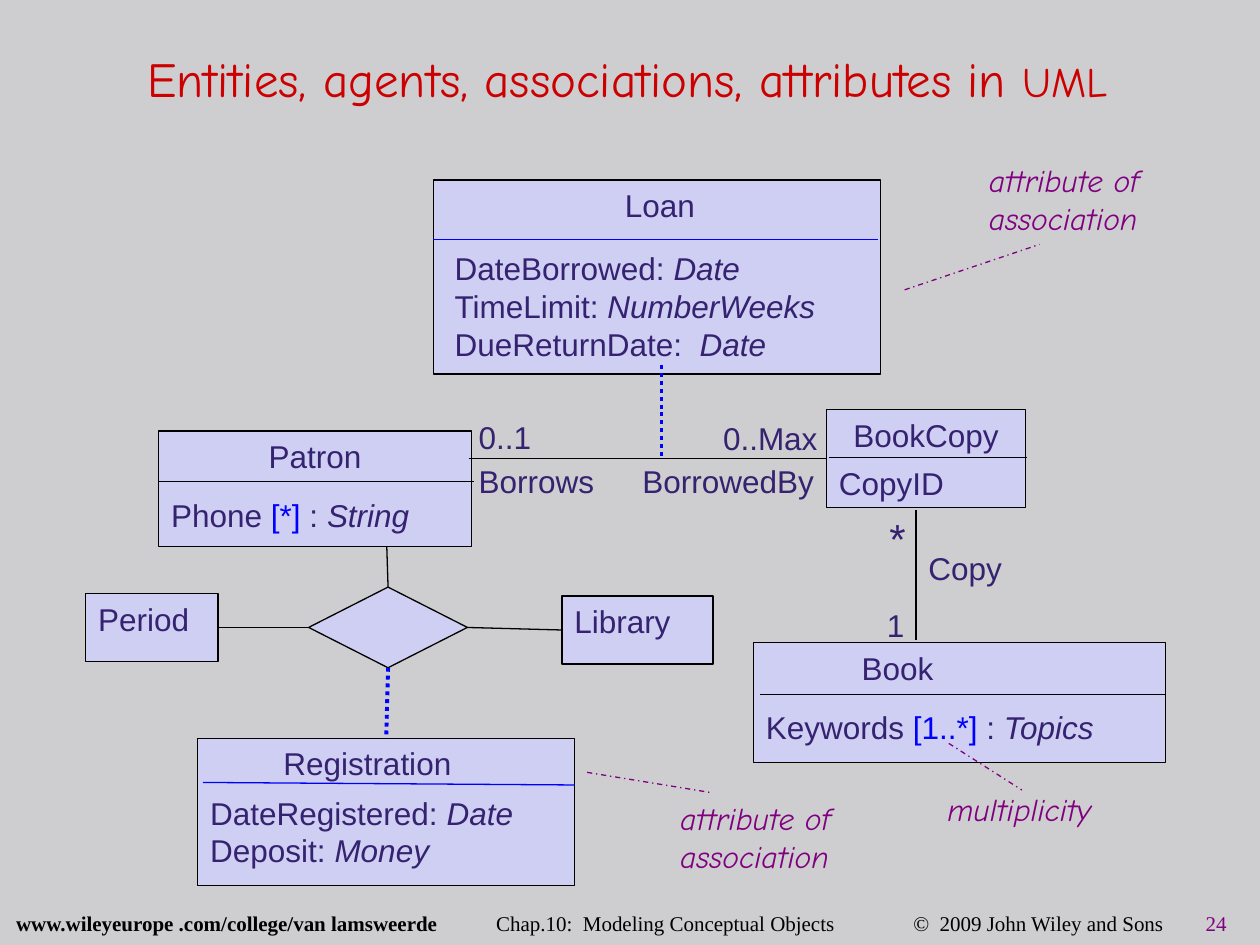
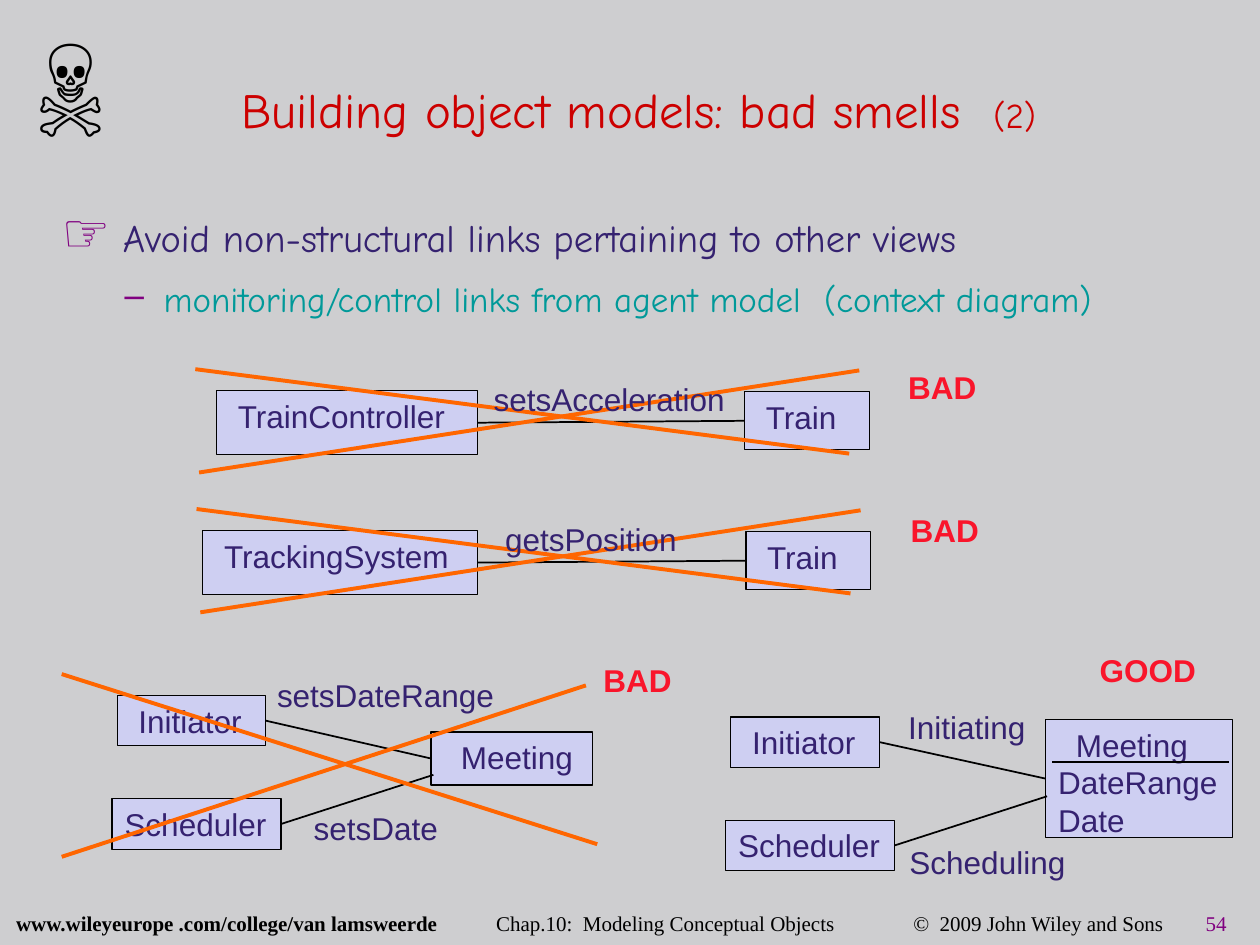
from dataclasses import dataclass
from typing import NamedTuple, Optional, Sequence, Union

from lxml.etree import SubElement
from pptx import Presentation
from pptx.dml.color import RGBColor
from pptx.enum.dml import MSO_LINE
from pptx.enum.shapes import MSO_CONNECTOR, MSO_SHAPE
from pptx.enum.text import MSO_ANCHOR, PP_ALIGN
from pptx.oxml.ns import qn
from pptx.util import Inches, Pt

BACKGROUND, BOX_FILL = "CECED0", "CECFF2"
BLACK, RED, PURPLE, INK = "000000", "CC0000", "800080", "352270"
BLUE, TEAL, ORANGE, VERDICT = "0000FF", "009999", "FF6600", "F9152B"
SANS, HAND, SERIF = "Arial", "Comic Neue", "Times New Roman"
TOP, LEFT, BOTTOM, RIGHT = range(4)


class Area(NamedTuple):
    left: float
    top: float
    width: float
    height: float


class Point(NamedTuple):
    x: float
    y: float


class Joint(NamedTuple):
    shape: object
    side: int


End = Union[Point, Joint]


@dataclass(frozen=True)
class Run:
    text: str
    size: Optional[float] = None
    font: Optional[str] = None
    color: Optional[str] = None
    bold: Optional[bool] = None
    italic: Optional[bool] = None


@dataclass(frozen=True)
class Line:
    runs: Sequence[Run]
    align: Optional[PP_ALIGN] = None
    before: float = 0
    margin: float = 0
    hanging: float = 0
    bullet: str = ""
    tabs: Sequence[float] = ()


@dataclass(frozen=True)
class Label:
    text: str
    area: Area
    size: float = 18
    font: str = SANS
    color: str = INK
    bold: bool = False
    italic: bool = False
    margin: float = 0


@dataclass(frozen=True)
class Stroke:
    color: str = BLACK
    width: float = 0.75
    dash: Optional[MSO_LINE] = None


THIN, LINK = Stroke(), Stroke(width=1)
DIVIDER = Stroke(BLUE)
DOTTED = Stroke(BLUE, 2.25, MSO_LINE.ROUND_DOT)
POINTER = Stroke(PURPLE, 0.75, MSO_LINE.DASH_DOT)
CROSS = Stroke(ORANGE, 2.25)


def rgb(color: str) -> RGBColor:
    return RGBColor.from_string(color)


def plain(text: str, **options) -> Line:
    return Line([Run(text)], **options)


def attribute(name: str, kind: str, multiplicity: str = "", before: float = 0) -> Line:
    middle = [Run(multiplicity, color=BLUE), Run(" : ")] if multiplicity else []
    return Line([Run(name), *middle, Run(kind, italic=True)], before=before)


def write_text(shape, lines: Sequence[Line], *, size: float = 18, font: str = SANS,
               color: str = INK, bold: bool = False, italic: bool = False,
               spacing: Optional[float] = None, anchor=MSO_ANCHOR.TOP) -> None:
    frame = shape.text_frame
    frame.word_wrap = True
    frame.vertical_anchor = anchor
    for index, line in enumerate(lines):
        paragraph = frame.paragraphs[0] if index == 0 else frame.add_paragraph()
        properties = paragraph._p.get_or_add_pPr()
        if line.margin or line.hanging:
            properties.set("marL", str(Inches(line.margin)))
            properties.set("indent", str(-Inches(line.hanging)))
        if line.bullet:
            bullet_color = SubElement(properties, qn("a:buClr"))
            SubElement(bullet_color, qn("a:srgbClr"), val=PURPLE)
            SubElement(properties, qn("a:buChar"), char=line.bullet)
        if line.tabs:
            tab_list = SubElement(properties, qn("a:tabLst"))
            for position in line.tabs:
                SubElement(tab_list, qn("a:tab"), pos=str(Inches(position)), algn="l")
        paragraph.alignment = line.align or PP_ALIGN.LEFT
        if line.before:
            paragraph.space_before = Pt(line.before)
        if spacing:
            paragraph.line_spacing = spacing
        for part in line.runs:
            run = paragraph.add_run()
            run.text = part.text
            run.font.size = Pt(part.size or size)
            run.font.name = part.font or font
            run.font.color.rgb = rgb(part.color or color)
            run.font.bold = bold if part.bold is None else part.bold
            run.font.italic = italic if part.italic is None else part.italic


def add_text(slide, area: Area, lines: Sequence[Line], **options):
    box = slide.shapes.add_textbox(*map(Inches, area))
    write_text(box, lines, **options)
    return box


def add_label(slide, label: Label) -> None:
    add_text(slide, label.area, [plain(label.text, margin=label.margin)], size=label.size,
             font=label.font, color=label.color, bold=label.bold, italic=label.italic)


def add_box(slide, area: Area, *lines: Line, kind=MSO_SHAPE.RECTANGLE):
    box = slide.shapes.add_shape(kind, *map(Inches, area))
    box.shadow.inherit = False
    box.fill.solid()
    box.fill.fore_color.rgb = rgb(BOX_FILL)
    box.line.color.rgb = rgb(BLACK)
    box.line.width = Pt(0.75)
    write_text(box, lines)
    return box


def add_line(slide, begin: End, end: End, stroke: Stroke = THIN) -> None:
    places = [(0, 0) if isinstance(place, Joint) else map(Inches, place)
              for place in (begin, end)]
    connector = slide.shapes.add_connector(MSO_CONNECTOR.STRAIGHT, *places[0], *places[1])
    if isinstance(begin, Joint):
        connector.begin_connect(*begin)
    if isinstance(end, Joint):
        connector.end_connect(*end)
    connector.line.color.rgb = rgb(stroke.color)
    connector.line.width = Pt(stroke.width)
    if stroke.dash:
        connector.line.dash_style = stroke.dash
    SubElement(connector._element.spPr, qn("a:effectLst"))


def add_slide(presentation, area: Area, title: Sequence[Run], number: int,
              spacing: Optional[float] = None):
    slide = presentation.slides.add_slide(presentation.slide_layouts[6])
    footer = [Run("www.wileyeurope .com/college/van lamsweerde", bold=True),
              Run("\tChap.10:  Modeling Conceptual Objects"),
              Run("\t©  2009 John Wiley and Sons"),
              Run(f"\t{number}", color=PURPLE)]
    add_text(slide, Area(0.03, 7.23, 9.97, 0.24), [Line(footer, tabs=(3.81, 7.12, 9.44))],
             size=12, font=SERIF, color=BLACK, spacing=0.7)
    add_text(slide, area, [Line(title, align=PP_ALIGN.CENTER)], size=28, font=HAND,
             color=RED, spacing=spacing, anchor=MSO_ANCHOR.MIDDLE)
    return slide


def build_uml_slide(presentation) -> None:
    slide = add_slide(presentation, Area(0.17, 0.17, 9.62, 0.89),
                      [Run("Entities, agents, associations, attributes in "),
                       Run("UML", size=24)], 24)
    book_copy = add_box(slide, Area(6.56, 3.25, 1.58, 0.78),
                        plain("BookCopy", align=PP_ALIGN.CENTER), plain("CopyID", before=6))
    add_box(slide, Area(5.98, 5.1, 3.27, 0.95), plain("Book", margin=0.76),
            attribute("Keywords ", "Topics", "[1..*]", before=12))
    add_box(slide, Area(1.26, 3.42, 2.48, 0.92), plain("Patron", align=PP_ALIGN.CENTER),
            attribute("Phone ", "String", "[*]", before=12))
    library = add_box(slide, Area(4.46, 4.73, 1.2, 0.54), plain("Library"))
    period = add_box(slide, Area(0.68, 4.71, 1.05, 0.54), plain("Period"))
    add_box(slide, Area(3.44, 1.43, 3.55, 1.54), plain("Loan", margin=1.42))
    registration = add_box(slide, Area(1.57, 5.86, 2.99, 1.17),
                           plain("Registration", margin=0.58))
    decision = add_box(slide, Area(2.45, 4.66, 1.26, 0.64),
                       kind=MSO_SHAPE.FLOWCHART_DECISION)

    add_text(slide, Area(3.51, 1.93, 3.49, 0.77),
             [attribute("DateBorrowed: ", "Date"), attribute("TimeLimit: ", "NumberWeeks"),
              attribute("DueReturnDate:  ", "Date")])
    add_text(slide, Area(1.57, 6.25, 2.98, 0.76),
             [attribute("DateRegistered: ", "Date"), attribute("Deposit: ", "Money")])

    for begin, end, stroke in (
        (Point(3.72, 3.64), Joint(book_copy, LEFT), THIN),
        (Point(7.27, 4.05), Point(7.27, 5.08), THIN),
        (Point(3.07, 4.34), Joint(decision, TOP), THIN),
        (Joint(period, RIGHT), Joint(decision, LEFT), THIN),
        (Joint(decision, RIGHT), Joint(library, LEFT), THIN),
        (Point(6.58, 3.63), Point(8.15, 3.63), THIN),
        (Point(6.03, 5.51), Point(9.25, 5.51), THIN),
        (Point(1.26, 3.82), Point(3.76, 3.82), THIN),
        (Point(3.44, 1.9), Point(6.97, 1.9), DIVIDER),
        (Point(1.61, 6.21), Point(4.56, 6.23), DIVIDER),
        (Point(5.25, 2.9), Point(5.25, 3.63), DOTTED),
        (Joint(decision, BOTTOM), Joint(registration, TOP), DOTTED),
        (Point(7.18, 2.3), Point(8.25, 1.94), POINTER),
        (Point(4.66, 6.13), Point(5.64, 6.29), POINTER),
        (Point(7.53, 5.9), Point(8.11, 6.27), POINTER),
    ):
        add_line(slide, begin, end, stroke)

    for label in (
        Label("Copy", Area(7.27, 4.31, 1, 0.46)),
        Label("BorrowedBy", Area(5, 3.62, 1.62, 0.46)),
        Label("Borrows", Area(3.7, 3.62, 1.31, 0.46)),
        Label("1", Area(6.94, 4.76, 0.55, 0.46)),
        Label("*", Area(6.96, 4.02, 0.55, 0.46), size=24),
        Label("0..1", Area(3.7, 3.27, 0.62, 0.46)),
        Label("0..Max", Area(5.64, 3.28, 1.06, 0.46)),
    ):
        add_label(slide, label)
    for text, area in (
        ("attribute of association", Area(7.75, 1.23, 1.97, 0.74)),
        ("attribute of association", Area(5.3, 6.29, 1.97, 0.74)),
        ("multiplicity", Area(7.42, 6.22, 1.77, 0.44)),
    ):
        add_label(slide, Label(text, area, font=HAND, color=PURPLE, italic=True))


def add_rejected_link(slide, shift: Point, agent: str, agent_area: Area, link: Label) -> None:
    x, y = shift
    agent_box = add_box(slide, agent_area, plain(agent, margin=0.07))
    train = add_box(slide, Area(5.91 + x, 3.11 + y, 0.99, 0.46), plain("Train", margin=0.07))
    add_line(slide, Joint(agent_box, RIGHT), Joint(train, LEFT), LINK)
    add_line(slide, Point(1.58 + x, 3.75 + y), Point(6.82 + x, 2.94 + y), CROSS)
    add_line(slide, Point(6.74 + x, 3.6 + y), Point(1.55 + x, 2.93 + y), CROSS)
    add_label(slide, link)


def add_meeting_model(slide, left: float, top: float, meeting_area: Area,
                      *details: Line) -> None:
    initiator = add_box(slide, Area(left + 0.04, top, 1.18, 0.4),
                        plain("Initiator", margin=0.07))
    scheduler = add_box(slide, Area(left, top + 0.82, 1.34, 0.4), plain("Scheduler"))
    meeting = add_box(slide, meeting_area, plain("Meeting", margin=0.14), *details)
    add_line(slide, Joint(initiator, RIGHT), Joint(meeting, LEFT), LINK)
    add_line(slide, Joint(scheduler, RIGHT), Point(left + 2.55, top + 0.63), LINK)


def build_smells_slide(presentation) -> None:
    slide = add_slide(presentation, Area(0.34, 0.4, 9.46, 0.83),
                      [Run("Building object models: bad smells  "), Run("(2)", size=20)],
                      54, spacing=1.2)
    advice = [Run("☞", size=31, font=SANS, color=PURPLE, bold=True),
              Run(" Avoid non-structural links pertaining to other views", size=22)]
    example = Run("monitoring/control links from agent model  (context diagram)", color=TEAL)
    add_text(slide, Area(0.39, 1.45, 9.19, 1.16),
             [Line(advice, margin=0.38, hanging=0.38),
              Line([example], before=6, margin=0.81, hanging=0.31, bullet="–")],
             size=20, font=HAND, spacing=1.1, anchor=MSO_ANCHOR.MIDDLE)
    add_text(slide, Area(0.12, 0.04, 0.88, 1.09), [plain("☠", align=PP_ALIGN.CENTER)],
             size=54, color=BLACK, spacing=1.1, anchor=MSO_ANCHOR.MIDDLE)

    add_rejected_link(slide, Point(0, 0), "TrainController", Area(1.72, 3.1, 2.07, 0.51),
                      Label("setsAcceleration", Area(3.82, 2.97, 2.09, 0.51)))
    add_rejected_link(slide, Point(0.01, 1.11), "TrackingSystem", Area(1.61, 4.21, 2.18, 0.51),
                      Label("getsPosition", Area(3.91, 4.08, 2.09, 0.51)))
    add_meeting_model(slide, 0.89, 5.52, Area(3.42, 5.81, 1.28, 0.42))
    add_line(slide, Point(4.74, 6.7), Point(0.49, 5.35), CROSS)
    add_line(slide, Point(0.49, 6.8), Point(4.65, 5.44), CROSS)
    add_meeting_model(slide, 5.76, 5.69, Area(8.3, 5.71, 1.48, 0.94),
                      plain("DateRange"), plain("Date"))
    add_line(slide, Point(8.35, 6.05), Point(9.75, 6.05), LINK)

    for label in (
        Label("setsDateRange", Area(2.1, 5.32, 1.98, 0.44)),
        Label("setsDate", Area(2.39, 6.37, 1.22, 0.38)),
        Label("Initiating", Area(7.11, 5.57, 1.17, 0.44)),
        Label("Scheduling", Area(7.12, 6.64, 1.47, 0.38)),
    ):
        add_label(slide, label)
    for text, left, top in (("BAD", 7.04, 2.87), ("BAD", 7.06, 4.01),
                            ("BAD", 4.62, 5.2), ("GOOD", 8.56, 5.12)):
        add_label(slide, Label(text, Area(left, top, 1.1, 0.44), color=VERDICT,
                               bold=True, margin=0.07))


def main() -> None:
    presentation = Presentation()
    presentation.slide_width, presentation.slide_height = Inches(10), Inches(7.5)
    background = presentation.slide_master.background.fill
    background.solid()
    background.fore_color.rgb = rgb(BACKGROUND)
    build_uml_slide(presentation)
    build_smells_slide(presentation)
    presentation.save("out.pptx")


if __name__ == "__main__":
    main()
